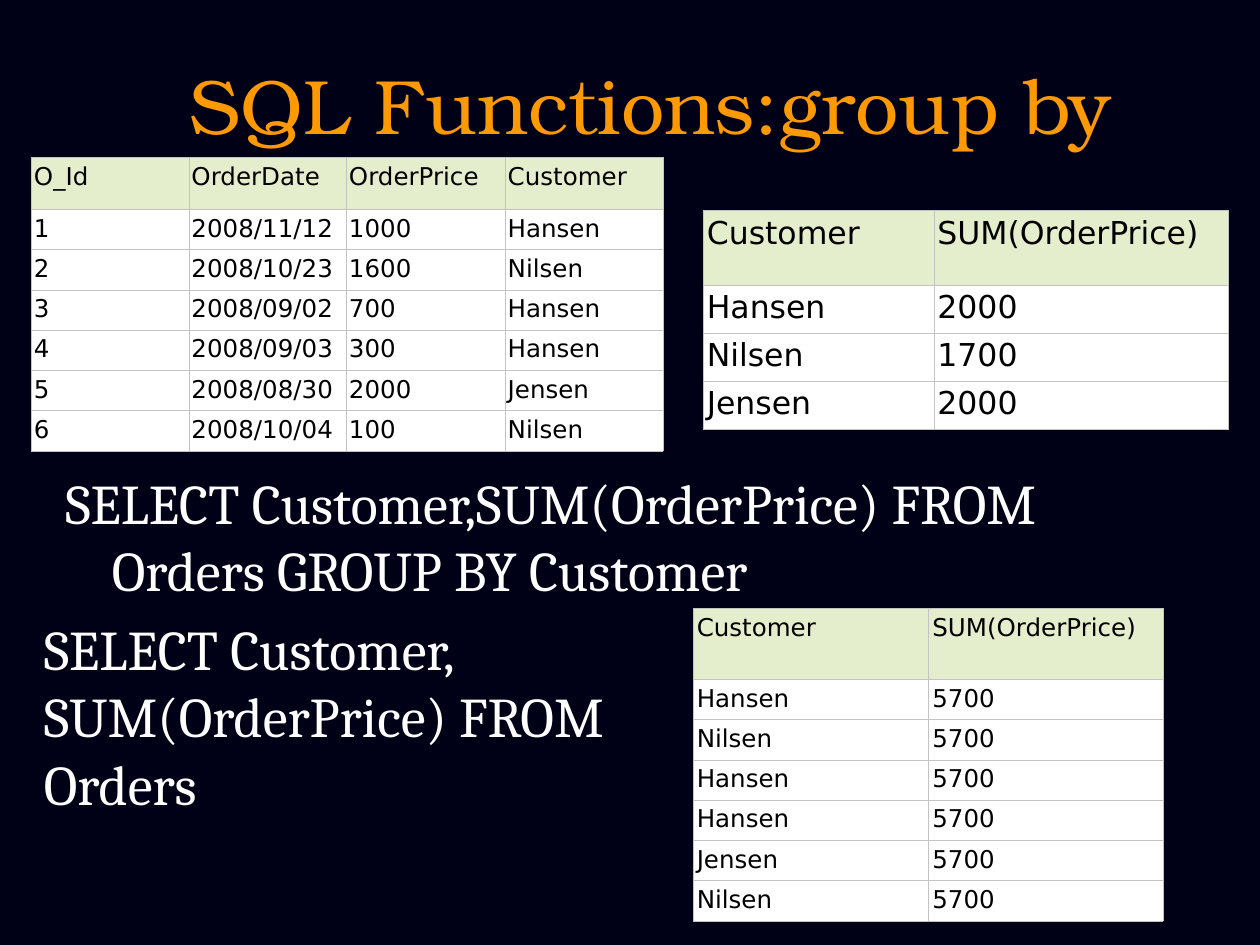
from dataclasses import dataclass

from lxml import etree
from pptx import Presentation
from pptx.dml.color import RGBColor
from pptx.enum import text as t
from pptx.oxml import ns
from pptx.util import Inches, Pt


@dataclass(frozen=True)
class Theme:
    background: str = "000016"
    title: str = "FF9900"
    query: str = "FFFFFF"
    cell_text: str = "000000"
    header: str = "E5EECC"
    body: str = "FFFFFF"
    border: str = "C3C3C3"
    border_width: float = 0.17
    title_font: str = "TeX Gyre Bonum"
    query_font: str = "Cambria"
    table_font: str = "DejaVu Sans"
    title_size: int = 44
    query_size: int = 32
    large_cell: int = 18
    small_cell: int = 14


THEME = Theme()

ORDERS = [
    ("O_Id", "OrderDate", "OrderPrice", "Customer"),
    ("1", "2008/11/12", "1000", "Hansen"),
    ("2", "2008/10/23", "1600", "Nilsen"),
    ("3", "2008/09/02", "700", "Hansen"),
    ("4", "2008/09/03", "300", "Hansen"),
    ("5", "2008/08/30", "2000", "Jensen"),
    ("6", "2008/10/04", "100", "Nilsen"),
]
SUM_HEADER = ("Customer", "SUM(OrderPrice)")
GROUPED = [SUM_HEADER, ("Hansen", "2000"), ("Nilsen", "1700"), ("Jensen", "2000")]
UNGROUPED = [SUM_HEADER] + [(order[3], "5700") for order in ORDERS[1:]]


def write_text(frame, words, *, font, size, color, align=None, spacing=None, hanging=None):
    paragraph = frame.paragraphs[0]
    if align is not None:
        paragraph.alignment = align
    if spacing is not None:
        paragraph.line_spacing = spacing
    if hanging is not None:
        properties = paragraph._p.get_or_add_pPr()
        properties.set("marL", str(Inches(hanging)))
        properties.set("indent", str(-Inches(hanging)))
    run = paragraph.add_run()
    run.text = words
    run.font.name = font
    run.font.size = Pt(size)
    run.font.color.rgb = RGBColor.from_string(color)


def add_text_box(slide, box, words, anchor=t.MSO_ANCHOR.TOP, **style):
    shape = slide.shapes.add_textbox(*map(Inches, box))
    shape.text_frame.word_wrap = True
    shape.text_frame.vertical_anchor = anchor
    write_text(shape.text_frame, words, **style)


def add_title(slide, box, words):
    add_text_box(slide, box, words, anchor=t.MSO_ANCHOR.MIDDLE, font=THEME.title_font,
                 size=THEME.title_size, color=THEME.title, align=t.PP_ALIGN.CENTER)


def add_query(slide, box, words, hanging=None):
    add_text_box(slide, box, words, font=THEME.query_font,
                 size=THEME.query_size, color=THEME.query, hanging=hanging)


def add_borders(cell):
    properties = cell._tc.get_or_add_tcPr()
    for side in ("lnL", "lnR", "lnT", "lnB"):
        line = etree.SubElement(properties, ns.qn(f"a:{side}"), w=str(Pt(THEME.border_width)))
        fill = etree.SubElement(line, ns.qn("a:solidFill"))
        etree.SubElement(fill, ns.qn("a:srgbClr"), val=THEME.border)


def add_data_table(slide, box, rows, columns, header_height, size, inset=0.03):
    """Place rows in the box; body rows share the height left by the header."""
    left, top, width, height = map(Inches, box)
    frame = slide.shapes.add_table(len(rows), len(columns), left, top, width, height)
    table = frame.table
    table.first_row = table.horz_banding = False
    for column, column_width in zip(table.columns, columns):
        column.width = Inches(column_width)
    body_height = (height - Inches(header_height)) // (len(rows) - 1)
    for index, values in enumerate(rows):
        table.rows[index].height = body_height if index else Inches(header_height)
        for cell, value in zip(table.rows[index].cells, values):
            cell.margin_left = cell.margin_right = Inches(inset)
            cell.margin_top = cell.margin_bottom = Inches(0.05)
            add_borders(cell)
            cell.fill.solid()
            cell.fill.fore_color.rgb = RGBColor.from_string(
                THEME.body if index else THEME.header)
            write_text(cell.text_frame, value, font=THEME.table_font, size=size,
                       color=THEME.cell_text, spacing=0.94)


def build_slide(presentation):
    slide = presentation.slides.add_slide(presentation.slide_layouts[6])
    slide.background.fill.solid()
    slide.background.fill.fore_color.rgb = RGBColor.from_string(THEME.background)
    add_title(slide, (0.75, 0.3, 8.83, 1.04), "SQL Functions:group by")
    add_query(slide, (0.42, 3.67, 8.5, 1.25),
              "SELECT Customer,SUM(OrderPrice) FROM Orders GROUP BY Customer", hanging=0.37)
    add_data_table(slide, (0.25, 1.25, 5.01, 2.11), ORDERS, (1.25, 1.25, 1.26, 1.25),
                   header_height=0.41, size=THEME.small_cell, inset=0.02)
    add_data_table(slide, (5.58, 1.67, 4.17, 1.67), GROUPED, (1.83, 2.34),
                   header_height=0.59, size=THEME.large_cell)
    add_data_table(slide, (5.5, 4.83, 3.73, 2.42), UNGROUPED, (1.87, 1.86),
                   header_height=0.56, size=THEME.small_cell)
    add_query(slide, (0.25, 4.83, 5, 1.7), "SELECT Customer, SUM(OrderPrice) FROM Orders")


def main():
    presentation = Presentation()
    presentation.slide_width = Inches(10)
    presentation.slide_height = Inches(7.5)
    build_slide(presentation)
    presentation.save("out.pptx")


if __name__ == "__main__":
    main()
